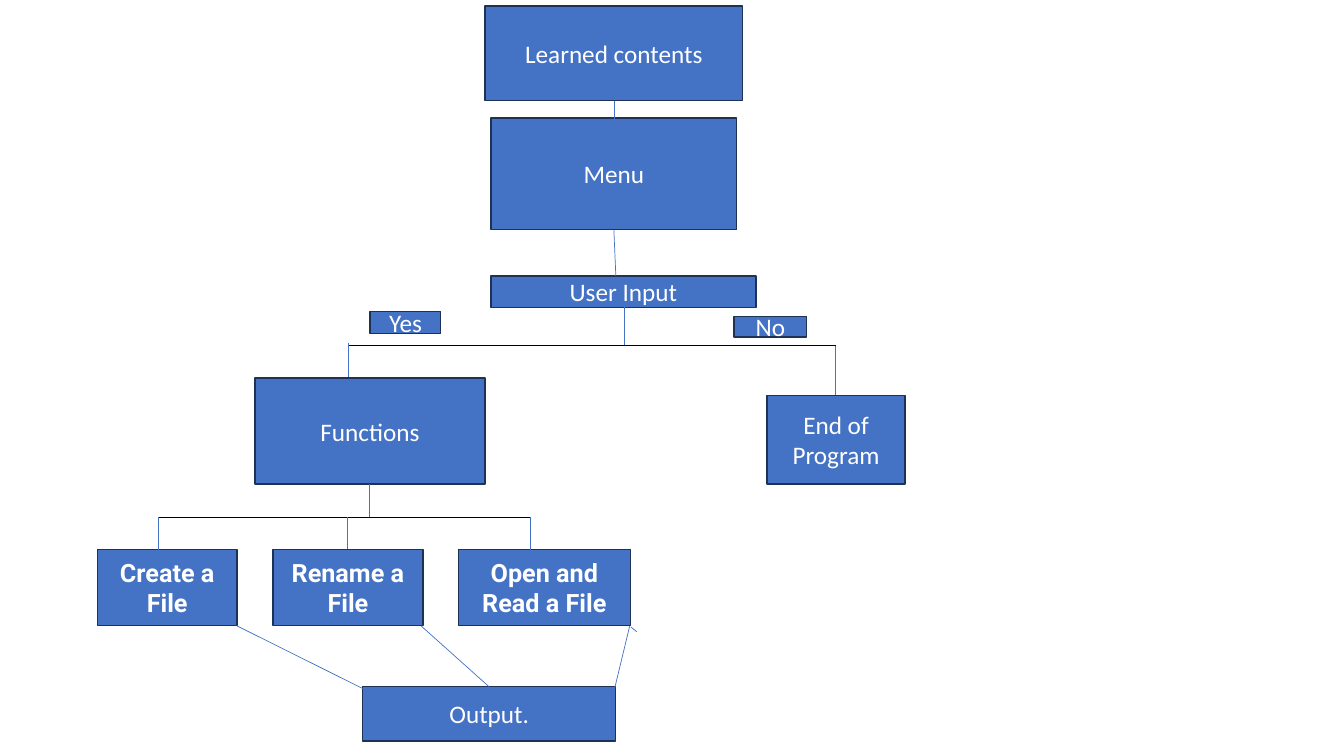
import pptx
import pptx.util
import pptx.dml.color
import pptx.enum.shapes
import pptx.enum.text
import lxml.etree
import pptx.oxml.ns

Cm = pptx.util.Cm
Pt = pptx.util.Pt
HUES = {"fill": "4472C4", "edge": "1E3256", "bar": "000000", "text": "FFFFFF"}


def hue(name):
    return pptx.dml.color.RGBColor.from_string(HUES[name])


def write(shape, text, font="Calibri", size=18, bold=False, color="text"):
    frame = shape.text_frame
    frame.word_wrap = True
    frame.vertical_anchor = pptx.enum.text.MSO_ANCHOR.MIDDLE
    para = frame.paragraphs[0]
    para.alignment = pptx.enum.text.PP_ALIGN.CENTER
    run = para.add_run()
    run.text = text
    run.font.name = font
    run.font.size = Pt(size)
    run.font.bold = bold
    run.font.color.rgb = hue(color)


def add_node(slide, area, text, x, y, wide, high, **style):
    shape = slide.shapes.add_shape(
        pptx.enum.shapes.MSO_SHAPE.RECTANGLE,
        Cm(area[0] + x), Cm(area[1] + y), Cm(wide), Cm(high))
    shape.shadow.inherit = False
    shape.fill.solid()
    shape.fill.fore_color.rgb = hue("fill")
    shape.line.color.rgb = hue("edge")
    shape.line.width = Pt(1)
    write(shape, text, **style)


def add_link(slide, area, x1, y1, x2, y2, color="fill"):
    left, top = area
    link = slide.shapes.add_connector(
        pptx.enum.shapes.MSO_CONNECTOR.STRAIGHT,
        Cm(left + x1), Cm(top + y1), Cm(left + x2), Cm(top + y2))
    link.line.color.rgb = hue(color)
    link.line.width = Pt(0.5)
    props = link._element.spPr
    lxml.etree.SubElement(props, pptx.oxml.ns.qn("a:effectLst"))


def draw_start(slide, area):
    # Steps from contents to user input
    add_node(slide, area, "Learned contents", 0, 0, 6.5, 2.39)
    add_node(slide, area, "Menu", 0.15, 2.82, 6.2, 2.82)
    add_node(slide, area, "User Input", 0.15, 6.81, 6.68, 0.79)
    # Links between the steps
    add_link(slide, area, 3.25, 3.56, 3.25, 2.39)
    add_link(slide, area, 3.25, 5.64, 3.3, 6.81)
    add_link(slide, area, 3.51, 7.59, 3.51, 8.56)


def draw_choice(slide, area):
    # Fork with its two drops
    add_link(slide, area, 2.34, 0.86, 14.63, 0.86, color="bar")
    add_link(slide, area, 2.34, 0.79, 2.34, 1.68)
    add_link(slide, area, 14.63, 0.86, 14.63, 2.11)
    # Answers and where they lead
    add_node(slide, area, "Yes", 2.9, 0, 1.78, 0.56)
    add_node(slide, area, "No", 12.07, 0.13, 1.83, 0.51)
    add_node(slide, area, "Functions", 0, 1.68, 5.79, 2.67)
    add_node(slide, area, "End of Program", 12.9, 2.11, 3.48, 2.24)


def draw_files(slide, area):
    # File functions
    for text, x, wide in (("Create a File", 0, 3.51),
                          ("Rename a File", 4.42, 3.78),
                          ("Open and Read a File", 9.09, 4.34)):
        add_node(slide, area, text, x, 1.65, wide, 1.93,
                 font="Roboto", bold=True)
    # Stem, bar and drops
    add_link(slide, area, 6.86, 0, 6.86, 0.84)
    add_link(slide, area, 1.52, 0.84, 10.92, 0.84, color="bar")
    for x, end in ((1.52, 2.08), (6.3, 1.65), (10.9, 1.68)):
        add_link(slide, area, x, 0.84, x, end)
    # Output and the links into it
    add_node(slide, area, "Output.", 6.68, 5.11, 6.38, 1.37)
    for ends in ((3.51, 3.58, 6.68, 5.16), (8.15, 3.58, 9.86, 5.11),
                 (13.44, 3.61, 13.59, 3.73), (13.41, 3.58, 13.03, 5.16)):
        add_link(slide, area, *ends)


deck = pptx.Presentation()
deck.slide_width = Cm(33.87)
deck.slide_height = Cm(19.05)
page = deck.slides.add_slide(deck.slide_layouts[6])
draw_start(page, (12.22, 0.15))
draw_choice(page, (6.43, 7.85))
draw_files(page, (2.46, 12.19))
deck.save("out.pptx")
